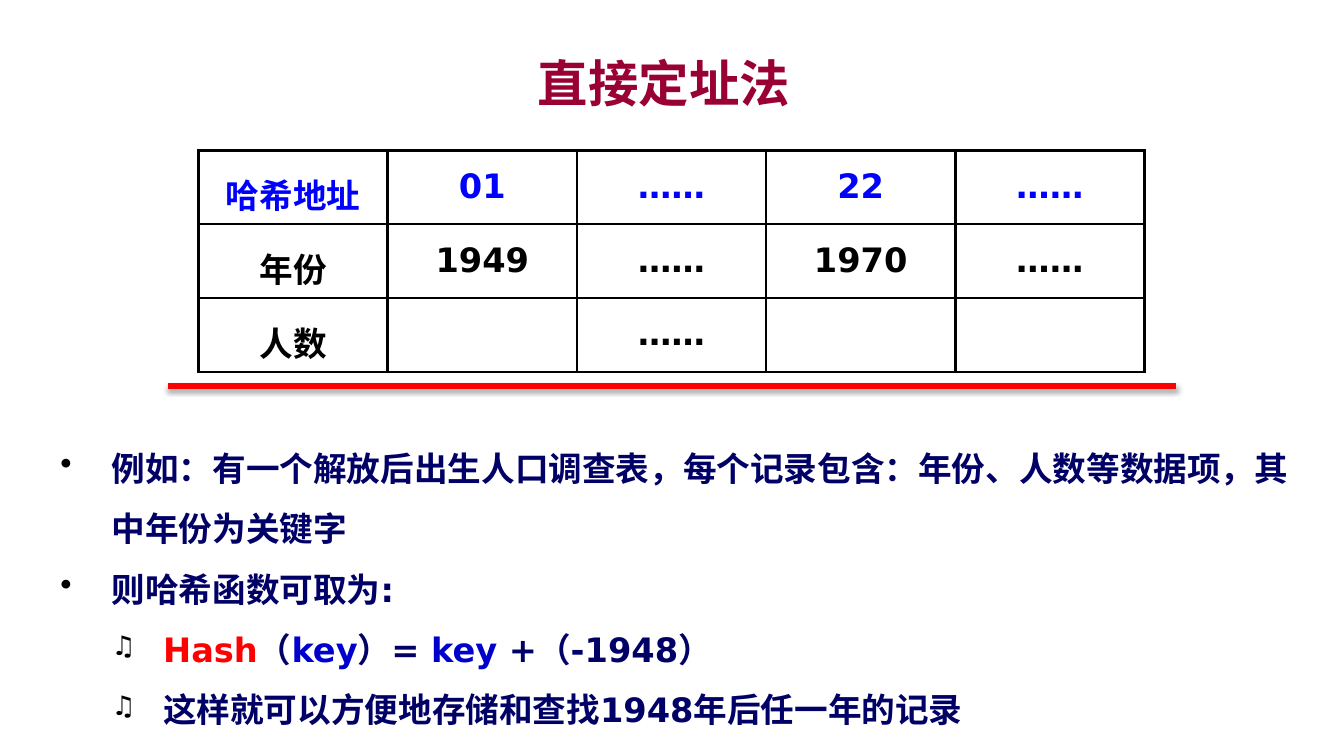
from lxml import etree
from pptx import Presentation
from pptx.dml.color import RGBColor
from pptx.enum.shapes import MSO_CONNECTOR
from pptx.enum.text import MSO_ANCHOR, PP_ALIGN
from pptx.oxml import parse_xml
from pptx.oxml.ns import nsdecls, qn
from pptx.util import Inches, Pt

CENTER = PP_ALIGN.CENTER
MIDDLE = MSO_ANCHOR.MIDDLE
STRAIGHT = MSO_CONNECTOR.STRAIGHT
CRIMSON = RGBColor(0x99, 0x00, 0x33)
BLUE = RGBColor(0x00, 0x00, 0xFF)
KEY_BLUE = RGBColor(0x00, 0x00, 0xCC)
NAVY = RGBColor(0x00, 0x00, 0x66)
RED = RGBColor(0xFF, 0x00, 0x00)
BLACK = RGBColor(0x00, 0x00, 0x00)
LATIN_FONT = "DejaVu Sans"
CJK_FONT = "Noto Sans CJK SC"


def style_run(run, color, size=24, name=LATIN_FONT):
    run.font.name = name
    run.font.size = Pt(size)
    run.font.bold = True
    run.font.color.rgb = color
    etree.SubElement(run.font._element, qn("a:ea")).set("typeface", CJK_FONT)


def add_bullet(paragraph, char, indent, percent):
    properties = paragraph._p.get_or_add_pPr()
    properties.set("marL", str(Inches(indent)))
    properties.set("indent", str(-Inches(0.51)))
    for xml in (
        f'<a:buClr {nsdecls("a")}><a:srgbClr val="{BLACK}"/></a:buClr>',
        f'<a:buSzPct {nsdecls("a")} val="{percent * 1000}"/>',
        f'<a:buChar {nsdecls("a")} char="{char}"/>',
    ):
        properties.append(parse_xml(xml))


prs = Presentation()
prs.slide_width = Inches(13.33)
prs.slide_height = Inches(7.5)
slide = prs.slides.add_slide(prs.slide_layouts[6])

title = slide.shapes.add_textbox(Inches(1.58), Inches(0.49), Inches(10.01), Inches(0.65))
title.text_frame.word_wrap = True
title.text_frame.vertical_anchor = MIDDLE
heading = title.text_frame.paragraphs[0]
heading.text = "直接定址法"
heading.alignment = CENTER
style_run(heading.runs[0], CRIMSON, 36, CJK_FONT)

hash_rows = [
    ["哈希地址", "01", "……", "22", "……"],
    ["年份", "1949", "……", "1970", "……"],
    ["人数", "", "……", "", ""],
]
hash_table = slide.shapes.add_table(
    3, 5, Inches(1.97), Inches(1.49), Inches(9.38), Inches(2.2)
).table
hash_table.first_row = False
hash_table.horz_banding = False
for row_index, row in enumerate(hash_rows):
    for column_index, value in enumerate(row):
        cell = hash_table.cell(row_index, column_index)
        cell.margin_left = cell.margin_right = Inches(0.11)
        cell_properties = cell._tc.get_or_add_tcPr()
        for edge in ("lnL", "lnR", "lnT", "lnB"):
            cell_properties.append(parse_xml(
                f'<a:{edge} {nsdecls("a")} w="{Pt(2.25)}"><a:solidFill>'
                f'<a:srgbClr val="{BLACK}"/></a:solidFill></a:{edge}>'
            ))
        cell.fill.background()
        if value:
            entry = cell.text_frame.paragraphs[0]
            entry.text = value
            entry.alignment = CENTER
            entry.line_spacing = 1.3
            style_run(entry.runs[0], BLACK if row_index else BLUE)

explanation_lines = [
    ("•", 0.51, 100, [("例如：有一个解放后出生人口调查表，每个记录包含：年份、人数等数据项，其中年份为关键字", NAVY)]),
    ("•", 0.51, 100, [("则哈希函数可取为:", NAVY)]),
    ("♫", 1.02, 80, [("Hash", RED), ("（", NAVY), ("key", KEY_BLUE), ("）= ", NAVY),
                     ("key", KEY_BLUE), (" +（-1948）", NAVY)]),
    ("♫", 1.02, 80, [("这样就可以方便地存储和查找1948年后任一年的记录", NAVY)]),
]
explanation = slide.shapes.add_textbox(Inches(0.5), Inches(4.19), Inches(12.67), Inches(2.83))
explanation.text_frame.word_wrap = True
for index, (char, indent, percent, pieces) in enumerate(explanation_lines):
    frame = explanation.text_frame
    line = frame.add_paragraph() if index else frame.paragraphs[0]
    add_bullet(line, char, indent, percent)
    line.line_spacing = 1.5
    for text, color in pieces:
        run = line.add_run()
        run.text = text
        style_run(run, color)

divider = slide.shapes.add_connector(
    STRAIGHT, Inches(1.67), Inches(3.83), Inches(11.66), Inches(3.83)
)
divider.line.color.rgb = RED
divider.line.width = Pt(4.5)
divider._element.spPr.append(parse_xml(
    f'<a:effectLst {nsdecls("a")}><a:outerShdw blurRad="{Pt(3.1)}" dist="{Pt(1.8)}" '
    f'dir="5400000" rotWithShape="0"><a:srgbClr val="{BLACK}"><a:alpha val="35000"/>'
    '</a:srgbClr></a:outerShdw></a:effectLst>'
))

prs.save("out.pptx")
